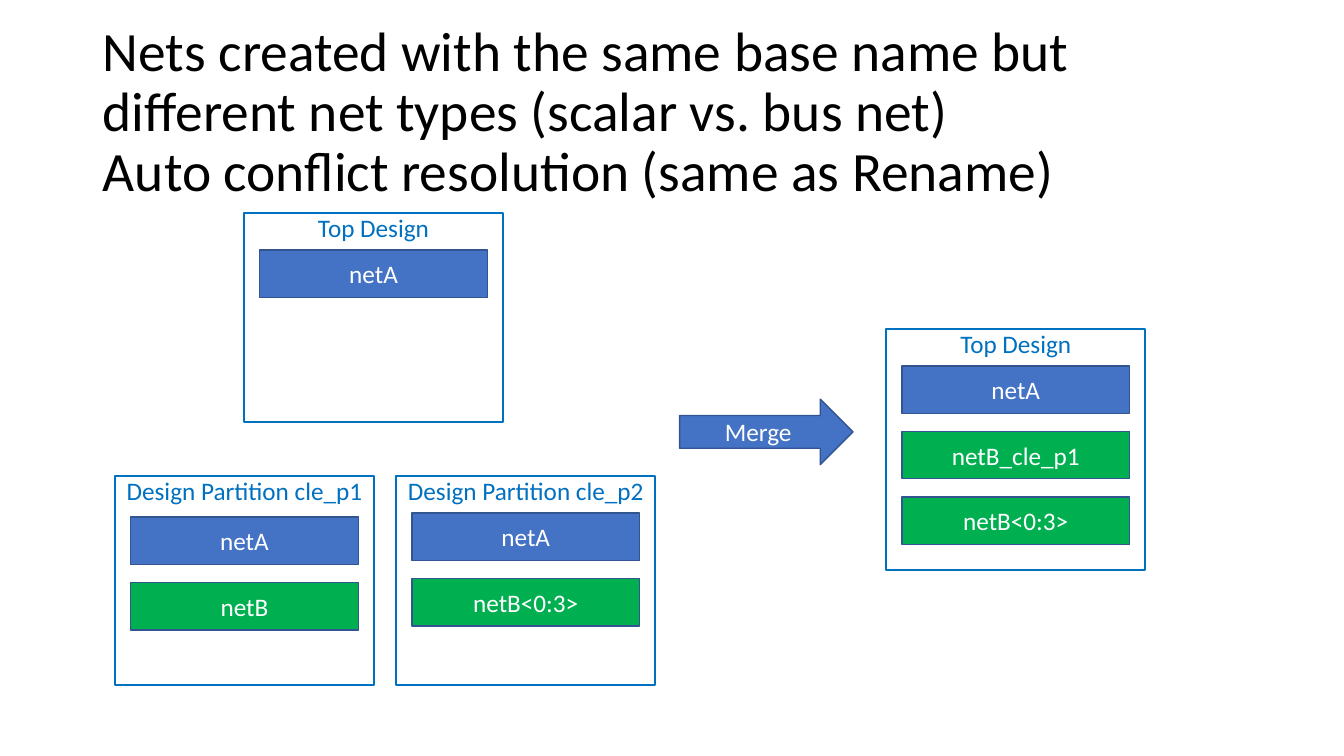
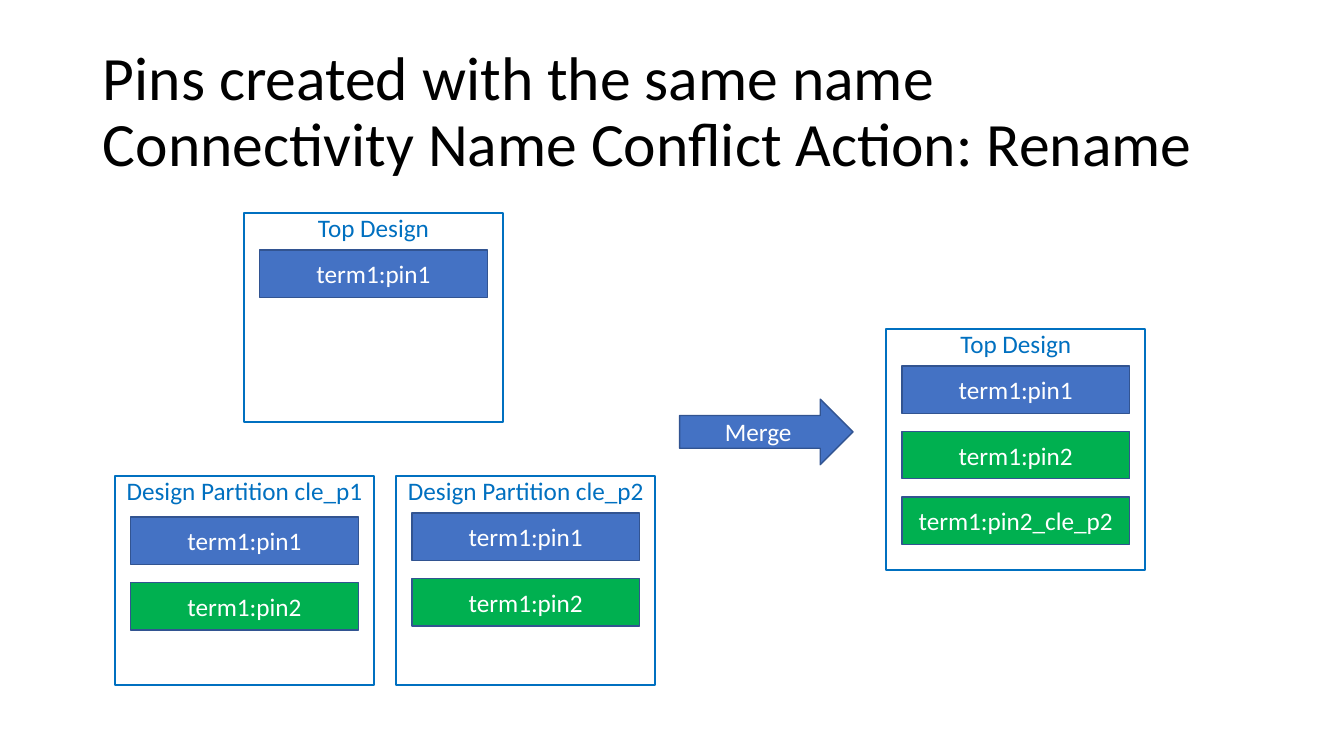
import copy
import pptx
import pptx.dml.color
import pptx.enum.shapes
import pptx.enum.text
import pptx.util

Inches = pptx.util.Inches
Pt = pptx.util.Pt
RGB = pptx.dml.color.RGBColor.from_string
FORM = pptx.enum.shapes.MSO_SHAPE
ALIGN = pptx.enum.text.PP_ALIGN
ANCHOR = pptx.enum.text.MSO_ANCHOR

# Theme: colours, type sizes and line widths
theme = {
    "font": "Calibri",
    "ink": RGB("000000"),
    "white": RGB("FFFFFF"),
    "frame": RGB("0070C0"),
    "edge": RGB("325491"),
    "blue": RGB("4472C4"),
    "green": RGB("00B050"),
    "text": Pt(18),
    "thick": Pt(1.5),
    "thin": Pt(1),
}

# Format values shared by all text frames of a kind
middle = {"vertical_anchor": ANCHOR.MIDDLE, "word_wrap": True}
header = {"vertical_anchor": ANCHOR.TOP, "word_wrap": True, "margin_top": 0,
          "margin_left": Inches(0.05), "margin_right": Inches(0.05)}
heading = {**middle, "auto_size": pptx.enum.text.MSO_AUTO_SIZE.NONE}

# Box grid: left, top, height, offset of the first bar
boxes = {
    "top": ("Top Design", 2.42, 2.11, 2.08, 0.37),
    "p2": ("Design Partition cle_p2", 3.93, 4.72, 2.08, 0.37),
    "p1": ("Design Partition cle_p1", 1.14, 4.72, 2.08, 0.41),
    "merged": ("Top Design", 8.79, 3.26, 2.4, 0.37),
}
box_wide, bar_wide, bar_high, step = 2.57, 2.26, 0.47, 0.65
inset = (box_wide - bar_wide) / 2

# Slide content: title, title size, bars in each box
pages = [
    ("Nets created with the same base name but different net types "
     "(scalar vs. bus net)\vAuto conflict resolution (same as Rename)", 39.6,
     {"top": ["netA"], "p2": ["netA", "netB<0:3>"], "p1": ["netA", "netB"],
      "merged": ["netA", "netB_cle_p1", "netB<0:3>"]}),
    ("Pins created with the same name\v"
     "Connectivity Name Conflict Action: Rename", 44,
     {"top": ["term1:pin1"], "p2": ["term1:pin1", "term1:pin2"],
      "p1": ["term1:pin1", "term1:pin2"],
      "merged": ["term1:pin1", "term1:pin2", "term1:pin2_cle_p2"]}),
]


def write(frame, text, layout, size, tint, align):
    """Fill a text frame and set its format."""
    frame.text = text
    para = frame.paragraphs[0]
    para.alignment = align
    jobs = [(frame, layout)]
    look = {"name": theme["font"], "size": size}
    for run in para.runs:
        jobs.append((run.font, look))
        run.font.color.rgb = tint
    for item, values in jobs:
        for key, value in values.items():
            setattr(item, key, value)
    return para


def draw(shapes, form, place, text, layout, fill, line, width, tint):
    """Add one shape with centred text."""
    shape = shapes.add_shape(form, *[Inches(n) for n in place])
    shape.shadow.inherit = False
    if fill is None:
        shape.fill.background()
    else:
        shape.fill.solid()
        shape.fill.fore_color.rgb = fill
    shape.line.color.rgb = line
    shape.line.width = width
    write(shape.text_frame, text, layout, theme["text"], tint, ALIGN.CENTER)


deck = pptx.Presentation()
deck.slide_width = Inches(13.33)
deck.slide_height = Inches(7.5)

# Shared title place, set on the layout
plan = deck.slide_layouts.get_by_name("Title Only")
spot = {"left": 0.92, "top": 0.4, "width": 11.5, "height": 1.45}
for holder in plan.placeholders:
    if holder.placeholder_format.type == pptx.enum.shapes.PP_PLACEHOLDER.TITLE:
        for key, value in spot.items():
            setattr(holder, key, Inches(value))

for title, size, bars in pages:
    slide = deck.slides.add_slide(plan)

    # Title, with its line break at the size of the text
    para = write(slide.shapes.title.text_frame, title, heading, Pt(size),
                 theme["ink"], ALIGN.LEFT)
    para.line_spacing = 0.9
    style = para._p.xpath("a:r/a:rPr")[0]
    for stop in para._p.xpath("a:br"):
        stop.append(copy.deepcopy(style))

    # Merge arrow
    draw(slide.shapes, FORM.RIGHT_ARROW, (6.74, 3.96, 1.72, 0.65), "Merge",
         middle, theme["blue"], theme["edge"], theme["thin"], theme["white"])

    # Design boxes, each grouped with its bars
    for key, (label, left, top, high, first) in boxes.items():
        group = slide.shapes.add_group_shape().shapes
        draw(group, FORM.RECTANGLE, (left, top, box_wide, high), label,
             header, None, theme["frame"], theme["thick"], theme["frame"])
        for row, name in enumerate(bars[key]):
            place = (left + inset, top + first + row * step, bar_wide, bar_high)
            fill = theme["green"] if row else theme["blue"]
            draw(group, FORM.RECTANGLE, place, name, middle, fill,
                 theme["edge"], theme["thin"], theme["white"])

deck.save("out.pptx")
